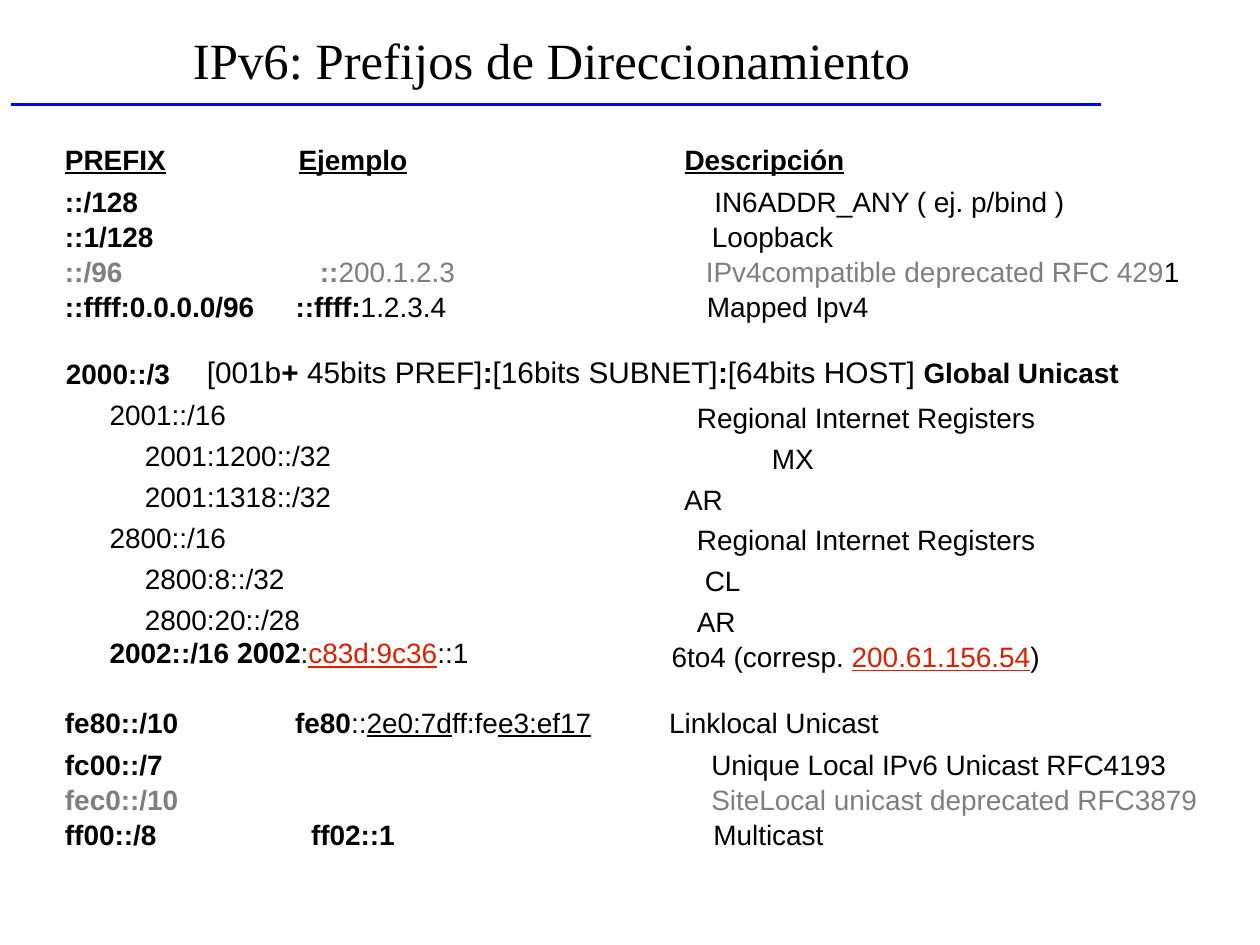
"""Build the slide on IPv6 addressing prefixes."""
import pptx
import pptx.dml.color
import pptx.enum.shapes
import pptx.enum.text
import pptx.oxml.ns
import pptx.util
from lxml import etree

Cm = pptx.util.Cm
Pt = pptx.util.Pt
BLACK = pptx.dml.color.RGBColor(0x00, 0x00, 0x00)
GREY = pptx.dml.color.RGBColor(0x7F, 0x7F, 0x7F)
RED = pptx.dml.color.RGBColor(0xDB, 0x22, 0x00)
BLUE = pptx.dml.color.RGBColor(0x00, 0x00, 0xFF)
TOP = pptx.enum.text.MSO_ANCHOR.TOP


def write(paragraph, indent, spacing, runs, size=16):
    """Fill a paragraph with (text, style words) runs."""
    properties = paragraph._p.get_or_add_pPr()
    properties.set("marL", str(Cm(indent)))
    properties.set("indent", "0")
    paragraph.line_spacing = spacing
    for text, style in runs:
        words = style.split()
        run = paragraph.add_run()
        run.text = text
        run.font.name = "Open Sans" if "open" in words else "Arial"
        run.font.size = Pt(size)
        run.font.bold = "bold" in words
        run.font.underline = "under" in words
        run.font.color.rgb = GREY if "grey" in words else RED if "red" in words else BLACK


def add_text(left, top, width, height, lines, size=16):
    """Add a text box of (indent, spacing, runs) lines."""
    frame = slide.shapes.add_textbox(Cm(left), Cm(top), Cm(width), Cm(height)).text_frame
    frame.word_wrap = True
    frame.margin_left = frame.margin_top = frame.margin_right = frame.margin_bottom = 0
    for number, (indent, spacing, runs) in enumerate(lines):
        paragraph = frame.add_paragraph() if number else frame.paragraphs[0]
        write(paragraph, indent, spacing, runs, size)


deck = pptx.Presentation()
deck.slide_width = Cm(25.4)
deck.slide_height = Cm(19.05)
slide = deck.slides.add_slide(deck.slide_layouts[5])

rule = slide.shapes.add_connector(
    pptx.enum.shapes.MSO_CONNECTOR.STRAIGHT, Cm(0.23), Cm(2.11), Cm(22.2), Cm(2.11))
rule.line.color.rgb = BLUE
rule.line.width = Pt(1.5)
etree.SubElement(rule._element.spPr, pptx.oxml.ns.qn("a:effectLst"))

title = slide.shapes.title
title.left, title.top, title.width, title.height = Cm(0.89), Cm(0.48), Cm(21.46), Cm(1.93)
heading = title.text_frame
heading.auto_size = pptx.enum.text.MSO_AUTO_SIZE.NONE
heading.vertical_anchor = TOP
heading.margin_left = Cm(3)
heading.margin_top = Cm(0.1)
heading.margin_right = heading.margin_bottom = 0
heading.paragraphs[0].alignment = pptx.enum.text.PP_ALIGN.LEFT
heading_run = heading.paragraphs[0].add_run()
heading_run.text = "IPv6: Prefijos de Direccionamiento"
heading_run.font.name = "Times New Roman"
heading_run.font.size = Pt(29)
heading_run.font.color.rgb = BLACK

special_prefixes = [
    [(0.04, [("PREFIX", "bold under")]), (0.41, [("Ejemplo", "bold under")]),
     (2.3, [("Descripción", "bold under")])],
    [(0.04, [("::/128", "bold")]), None, (2.9, [("IN6ADDR_ANY ( ej. p/bind )", "")])],
    [(0.04, [("::1/128", "bold")]), None, (2.85, [("Loopback", "")])],
    [(0.04, [("::/96", "bold grey")]), (0.84, [("::", "bold grey"), ("200.1.2.3", "grey")]),
     (2.73, [("IPv4compatible deprecated RFC 429", "grey"), ("1", "")])],
    [(0.04, [("::ffff:0.0.0.0/96", "bold")]), (0.35, [("::ffff:", "bold"), ("1.2.3.4", "")]),
     (2.75, [("Mapped Ipv4", "")])],
]
local_prefixes = [
    [(0.04, [("fe80::/10", "bold")]),
     (1.15, [("fe80", "bold"), ("::", ""), ("2e0:7d", "under"), ("ff:fe", ""),
             ("e3:ef17", "under")]),
     (0.71, [("Linklocal Unicast", "")])],
    [(0.04, [("fc00::/7", "bold")]), None, (1.56, [("Unique Local IPv6 Unicast RFC4193", "")])],
    [(0.04, [("fec0::/10", "bold grey")]), None,
     (1.56, [("SiteLocal unicast deprecated RFC3879", "grey")])],
    [(0.04, [("ff00::/8", "bold")]), (1.47, [("ff02::1", "bold")]), (1.6, [("Multicast", "")])],
]

for table_top, widths, rows in (
    (2.92, (4.34, 5.89, 12.73), special_prefixes),
    (14.27, (3.53, 7.98, 11.99), local_prefixes),
):
    heights = [0.8] + [0.71] * (len(rows) - 2) + [0.8]
    table = slide.shapes.add_table(
        len(rows), 3, Cm(1.27), Cm(table_top), Cm(sum(widths)), Cm(sum(heights))).table
    table.first_row = table.horz_banding = False
    for column, width in zip(table.columns, widths):
        column.width = Cm(width)
    for row_number, (row, height, entries) in enumerate(zip(table.rows, heights, rows)):
        row.height = Cm(height)
        for cell, entry in zip(row.cells, entries):
            cell.fill.background()
            cell.vertical_anchor = TOP
            cell.margin_left = cell.margin_top = cell.margin_right = cell.margin_bottom = 0
            paragraph = cell.text_frame.paragraphs[0]
            if entry:
                write(paragraph, entry[0], 1.08 if row_number else 1.0, entry[1])
            else:
                etree.SubElement(paragraph._p, pptx.oxml.ns.qn("a:endParaRPr"), sz="1600")

add_text(1.3, 7.19, 2.21, 0.74, [(0.03, 1.0, [("2000::/3", "bold")])])
add_text(4.14, 7.14, 18.64, 0.79, [(0.03, 1.0, [
    ("[001b", ""), ("+ ", "bold"), ("45bits PREF]", ""), (":", "bold"),
    ("[16bits SUBNET]", ""), (":", "bold"), ("[64bits HOST] ", "")])], 17)
global_unicast = slide.shapes[-1].text_frame.paragraphs[0]
write(global_unicast, 0.03, 1.0, [("Global Unicast", "bold")])

add_text(2.18, 7.87, 8.56, 4.83, [
    (0.03, 1.22, [("2001::/16", "")]),
    (0.74, 1.22, [("2001:1200::/32", "")]),
    (0.74, 1.22, [("2001:1318::/32", "")]),
    (0.03, 1.22, [("2800::/16", "")]),
    (0.74, 1.22, [("2800:8::/32", "")]),
    (0.74, 1.22, [("2800:20::/28", "")]),
    (0.03, 1.0, [("2002::/16 ", "bold"), ("2002", "bold open"), (":", ""),
                 ("c83d:9c36", "red under"), ("::1", "")]),
])
add_text(13.51, 7.92, 8.46, 4.8, [
    (0.54, 1.22, [("Regional Internet Registers", "")]),
    (2.05, 1.22, [("MX", "")]),
    (0.28, 1.22, [("AR", "")]),
    (0.54, 1.22, [("Regional Internet Registers", "")]),
    (0.7, 1.22, [("CL", "")]),
    (0.54, 1.22, [("AR", "")]),
    (0.03, 1.03, [("6to4 (corresp. ", ""), ("200.61.156.54", "red under"), (")", "")]),
])

deck.save("out.pptx")
